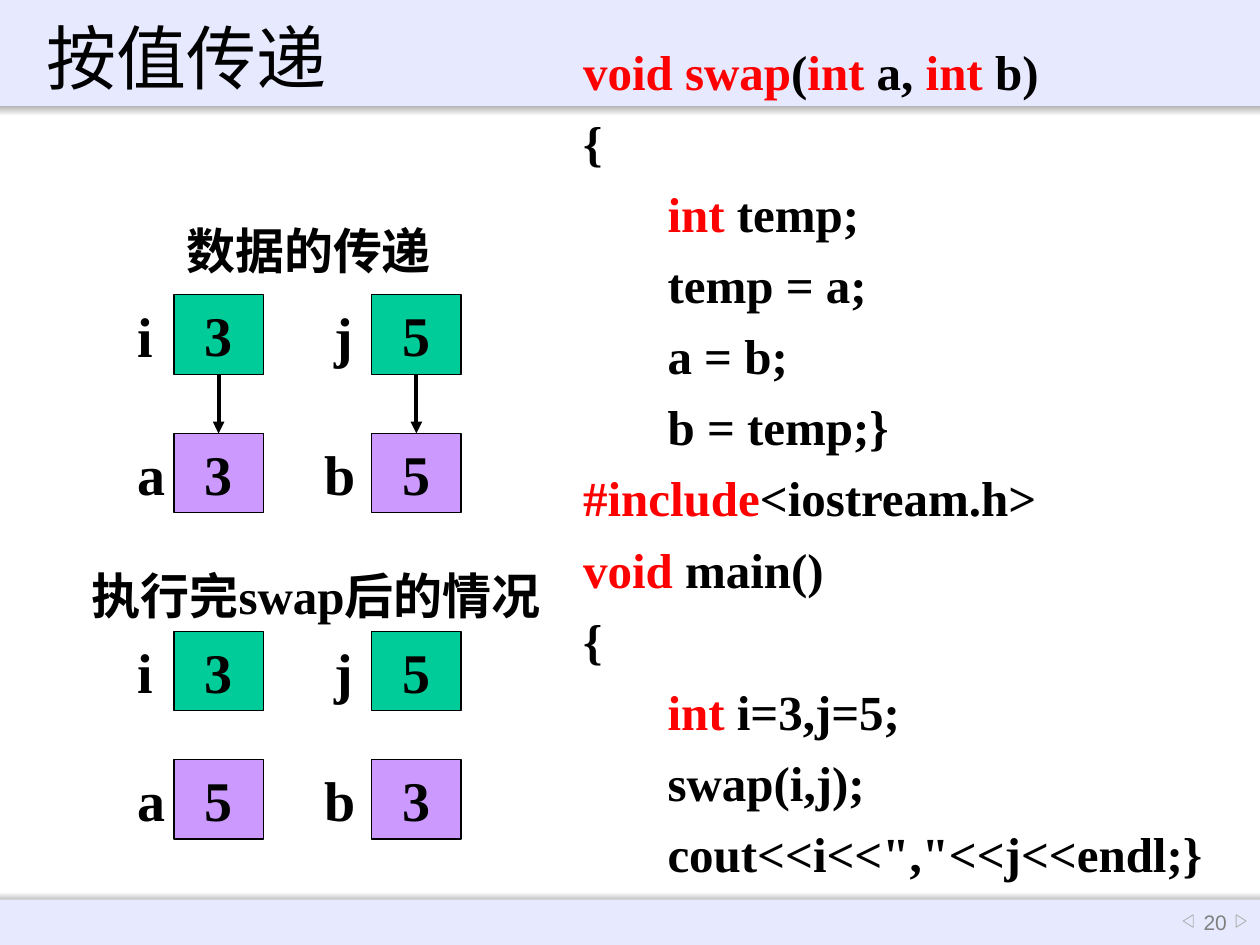
from dataclasses import dataclass

from lxml import etree
from pptx import Presentation
from pptx.dml.color import RGBColor
from pptx.enum.shapes import MSO_CONNECTOR, MSO_SHAPE
from pptx.enum.text import MSO_ANCHOR, PP_ALIGN
from pptx.oxml.ns import qn
from pptx.util import Inches, Pt

RECTANGLE = MSO_SHAPE.RECTANGLE
PROCESS = MSO_SHAPE.FLOWCHART_PROCESS
TRIANGLE = MSO_SHAPE.ISOSCELES_TRIANGLE
STRAIGHT = MSO_CONNECTOR.STRAIGHT
MIDDLE, TOP = MSO_ANCHOR.MIDDLE, MSO_ANCHOR.TOP
CENTER, LEFT = PP_ALIGN.CENTER, PP_ALIGN.LEFT

SERIF, SANS = "Times New Roman", "Arial"
COLORS = {
    "band": "E7E9FF", "shade": "B2B2B2", "white": "FFFFFF", "number": "808080",
    "text": "000000", "keyword": "FF0000", "argument": "00CC99", "parameter": "CC99FF",
}

WIDTH, HEIGHT = 10, 7.5
HEADER_HEIGHT, FOOTER_HEIGHT, EDGE_HEIGHT = 0.84, 0.36, 0.08
FIRST_COLUMN, COLUMN_PITCH = 1.38, 1.57
CELL_WIDTH, CELL_HEIGHT = 0.71, 0.63
CODE_INDENT = 0.67

# Keywords stand between bars.
CODE = (
    "|void swap|(|int| a, |int| b)",
    "{",
    "\t|int| temp;",
    "\ttemp = a;",
    "\ta = b;",
    "\tb = temp;}",
    "|#include|<iostream.h>",
    "|void| main()",
    "{",
    "\t|int |i=3,j=5;",
    "\tswap(i,j);",
    '\tcout<<i<<","<<j<<endl;}',
)


@dataclass(frozen=True)
class Box:
    left: float
    top: float
    width: float
    height: float

    def lengths(self) -> list:
        return [Inches(n) for n in (self.left, self.top, self.width, self.height)]


@dataclass(frozen=True)
class Label:
    """A variable name, with its distance to the left of its cell."""
    name: str
    offset: float
    width: float


@dataclass(frozen=True)
class Row:
    top: float
    labels: tuple
    values: str
    color: str


@dataclass(frozen=True)
class Diagram:
    caption: str
    caption_box: Box
    rows: tuple
    has_arrows: bool


ARGUMENTS = (Label("i", 0.39, 0.32), Label("j", 0.39, 0.35))
PARAMETERS = (Label("a", 0.39, 0.42), Label("b", 0.47, 0.45))
DIAGRAMS = (
    Diagram("数据的传递", Box(1.38, 1.7, 2.28, 0.57),
            (Row(2.34, ARGUMENTS, "35", "argument"),
             Row(3.44, PARAMETERS, "35", "parameter")), True),
    Diagram("执行完swap后的情况", Box(0.63, 4.44, 4.13, 0.57),
            (Row(5.01, ARGUMENTS, "35", "argument"),
             Row(6.03, PARAMETERS, "53", "parameter")), False),
)


def rgb(name: str) -> RGBColor:
    return RGBColor.from_string(COLORS[name])


def write(shape, text: str, size: float, bold=True, font=SERIF, color="text",
          align=LEFT, anchor=TOP, wrap=False) -> None:
    frame = shape.text_frame
    frame.word_wrap = wrap
    frame.vertical_anchor = anchor
    paragraph = frame.paragraphs[0]
    paragraph.text = text
    paragraph.alignment = align
    paragraph.font.name = font
    paragraph.font.size = Pt(size)
    paragraph.font.bold = bold
    paragraph.font.color.rgb = rgb(color)


def add_preset(shapes, preset, box: Box, fill=None, line=None, line_width=0.75):
    shape = shapes.add_shape(preset, *box.lengths())
    shape.shadow.inherit = False
    if fill:
        shape.fill.solid()
        shape.fill.fore_color.rgb = rgb(fill)
    else:
        shape.fill.background()
    if line:
        shape.line.color.rgb = rgb(line)
        shape.line.width = Pt(line_width)
    else:
        shape.line.fill.background()
    return shape


def add_edge(shapes, top: float, colors: tuple) -> None:
    """Add a soft edge that fades downwards between two colours."""
    edge = add_preset(shapes, RECTANGLE, Box(0, top, WIDTH, EDGE_HEIGHT))
    edge.fill.gradient()
    edge.fill.gradient_angle = 270
    for stop, color in zip(edge.fill.gradient_stops, colors):
        stop.color.rgb = rgb(color)


def add_frame(shapes) -> None:
    footer_top = HEIGHT - FOOTER_HEIGHT
    add_edge(shapes, 7.08, ("white", "shade"))
    add_edge(shapes, HEADER_HEIGHT, ("shade", "white"))
    add_preset(shapes, RECTANGLE, Box(0, footer_top, WIDTH, FOOTER_HEIGHT), "band")
    add_preset(shapes, RECTANGLE, Box(0, 0, WIDTH, HEADER_HEIGHT), "band")

    number = shapes.add_textbox(*Box(9.33, footer_top, 0.63, FOOTER_HEIGHT).lengths())
    frame = number.text_frame
    frame.margin_left = frame.margin_right = frame.margin_top = frame.margin_bottom = 0
    write(number, "20", 12, False, SANS, "number", CENTER, MIDDLE, True)
    for left, rotation in ((9.8, 90), (9.38, 270)):
        triangle = add_preset(shapes, TRIANGLE, Box(left, 7.27, 0.1, 0.08),
                              line="shade", line_width=0.5)
        triangle.rotation = rotation


def add_code(shapes) -> None:
    frame = shapes.add_textbox(*Box(4.53, 0.28, 5.2, 6.77).lengths()).text_frame
    frame.word_wrap = True
    for index, line in enumerate(CODE):
        paragraph = frame.add_paragraph() if index else frame.paragraphs[0]
        properties = paragraph._p.get_or_add_pPr()
        properties.set("marL", str(Inches(CODE_INDENT)))
        properties.set("indent", str(-Inches(CODE_INDENT)))
        paragraph.space_before = Pt(7 if index else 0)
        paragraph.font.name = SERIF
        paragraph.font.size = Pt(28)
        paragraph.font.bold = True
        for position, text in enumerate(line.split("|")):
            if text:
                run = paragraph.add_run()
                run.text = text
                run.font.color.rgb = rgb("keyword" if position % 2 else "text")


def add_arrow(shapes, x: float, top: float, bottom: float) -> None:
    arrow = shapes.add_connector(STRAIGHT, Inches(x), Inches(top), Inches(x), Inches(bottom))
    arrow.line.color.rgb = rgb("text")
    arrow.line.width = Pt(2.25)
    etree.SubElement(arrow.line._get_or_add_ln(), qn("a:tailEnd"), type="triangle")
    etree.SubElement(arrow._element.spPr, qn("a:effectLst"))


def add_diagram(slide, diagram: Diagram) -> None:
    shapes = slide.shapes.add_group_shape().shapes
    for row in diagram.rows:
        for column, (label, value) in enumerate(zip(row.labels, row.values)):
            left = FIRST_COLUMN + column * COLUMN_PITCH
            cell = add_preset(shapes, PROCESS, Box(left, row.top, CELL_WIDTH, CELL_HEIGHT),
                              row.color, "text")
            write(cell, value, 32, align=CENTER, anchor=MIDDLE)
            name_box = Box(left - label.offset, row.top, label.width, 0.64)
            write(shapes.add_textbox(*name_box.lengths()), label.name, 32)
    if diagram.has_arrows:
        upper, lower = diagram.rows
        for column in range(len(upper.values)):
            center = FIRST_COLUMN + column * COLUMN_PITCH + CELL_WIDTH / 2
            add_arrow(shapes, center, upper.top + CELL_HEIGHT, lower.top)
    write(shapes.add_textbox(*diagram.caption_box.lengths()), diagram.caption, 28, wrap=True)


def main() -> None:
    presentation = Presentation()
    presentation.slide_width, presentation.slide_height = Inches(WIDTH), Inches(HEIGHT)
    slide = presentation.slides.add_slide(presentation.slide_layouts[6])
    add_frame(slide.shapes)
    add_code(slide.shapes)
    for diagram in DIAGRAMS:
        add_diagram(slide, diagram)
    title = slide.shapes.add_textbox(*Box(0.27, 0.13, 8.51, 0.63).lengths())
    write(title, "按值传递", 40, bold=False, anchor=MIDDLE, wrap=True)
    presentation.save("out.pptx")


if __name__ == "__main__":
    main()
